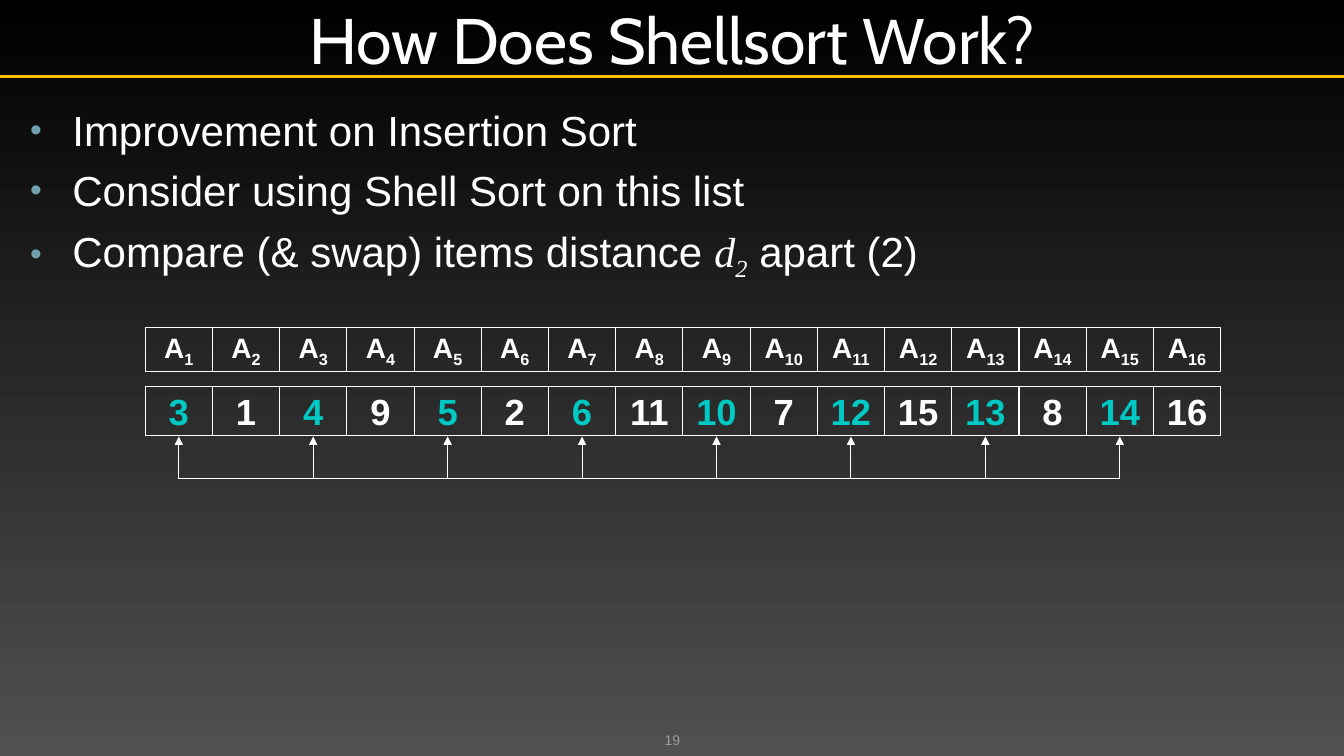
from pptx import Presentation
from pptx.dml.color import RGBColor
from pptx.enum import shapes, text
from pptx.oxml import ns
from pptx.util import Inches, Pt
from lxml import etree

BLACK = RGBColor(0x00, 0x00, 0x00)
GREY = RGBColor(0x50, 0x50, 0x50)
WHITE = RGBColor(0xFF, 0xFF, 0xFF)
GOLD = RGBColor(0xFF, 0xC0, 0x00)
TEAL = RGBColor(0x00, 0xC8, 0xC3)
BULLET = RGBColor(0x6E, 0xA0, 0xB0)
FOOTER = RGBColor(0x9D, 0x9B, 0x9A)

VALUES = [3, 1, 4, 9, 5, 2, 6, 11, 10, 7, 12, 15, 13, 8, 14, 16]
DISTANCE = 2
LEFT, CELL = 1.44, 2 / 3
ARROW_TOP, ARROW_BASE = 4.33, 4.75


def add_run(paragraph, words, size, color=WHITE, face="Arial", bold=False,
            italic=False, subscript=False):
    run = paragraph.add_run()
    run.text = words
    run.font.size = Pt(size)
    run.font.name = face
    run.font.color.rgb = color
    run.font.bold = bold
    run.font.italic = italic
    if subscript:
        run.font._element.set("baseline", "-25000")


def add_line(parent, x1, y1, x2, y2, color=WHITE, width=0.75, arrow=False):
    line = parent.add_connector(shapes.MSO_CONNECTOR.STRAIGHT,
                                Inches(x1), Inches(y1), Inches(x2), Inches(y2))
    line.line.color.rgb = color
    line.line.width = Pt(width)
    if arrow:
        etree.SubElement(line.line._get_or_add_ln(), ns.qn("a:tailEnd"), type="triangle")
    etree.SubElement(line._element.spPr, ns.qn("a:effectLst"))


prs = Presentation()
prs.slide_width, prs.slide_height = Inches(13.33), Inches(7.5)
slide = prs.slides.add_slide(prs.slide_layouts[5])

# Background gradient, dark at the top
backdrop = slide.background.fill
backdrop.gradient()
backdrop.gradient_angle = 270
for stop, color in zip(backdrop.gradient_stops, (BLACK, GREY)):
    stop.color.rgb = color

# Title and the rule under it
add_line(slide.shapes, 0, 0.76, 13.33, 0.76, GOLD, 2.5)
title = slide.shapes.title
title.left, title.top, title.width, title.height = 0, 0, Inches(13.33), Inches(0.76)
heading = title.text_frame
heading.auto_size = text.MSO_AUTO_SIZE.NONE
heading.vertical_anchor = text.MSO_ANCHOR.MIDDLE
heading.margin_left = heading.margin_right = Inches(0.05)
heading.margin_top = heading.margin_bottom = Inches(0.05)
heading.paragraphs[0].alignment = text.PP_ALIGN.CENTER
add_run(heading.paragraphs[0], "How Does Shellsort Work?", 46, face="Cabin")

# Bullet points
math_style = dict(face="Times New Roman", italic=True)
points = [
    [("Improvement on Insertion Sort", {})],
    [("Consider using Shell Sort on this list", {})],
    [("Compare (& swap) items distance ", {}), ("d", math_style),
     ("2", dict(math_style, subscript=True)), (" apart (2)", {})],
]
body = slide.shapes.add_textbox(Inches(0.16), Inches(0.99),
                                Inches(13.01), Inches(6.13)).text_frame
body.word_wrap = True
for i, point in enumerate(points):
    paragraph = body.add_paragraph() if i else body.paragraphs[0]
    paragraph.space_before = Pt(7)
    props = paragraph._p.get_or_add_pPr()
    props.set("marL", str(Inches(0.46)))
    props.set("indent", str(Inches(-0.42)))
    bullet_color = etree.SubElement(props, ns.qn("a:buClr"))
    etree.SubElement(bullet_color, ns.qn("a:srgbClr"), val=str(BULLET))
    etree.SubElement(props, ns.qn("a:buSzPct"), val="80000")
    etree.SubElement(props, ns.qn("a:buFont"), typeface="Arial")
    etree.SubElement(props, ns.qn("a:buChar"), char="•")
    for words, style in point:
        add_run(paragraph, words, 30, **style)

# Slide number
footer = slide.shapes.add_textbox(Inches(4.56), Inches(7.02),
                                  Inches(4.22), Inches(0.4)).text_frame
footer.word_wrap = True
footer.vertical_anchor = text.MSO_ANCHOR.BOTTOM
footer.margin_left = footer.margin_right = footer.margin_top = footer.margin_bottom = 0
footer.paragraphs[0].alignment = text.PP_ALIGN.CENTER
add_run(footer.paragraphs[0], "19", 10, FOOTER)

# Array: a row of labels above a row of values
labels = [[("A", 20, WHITE, False), (str(n + 1), 20, WHITE, True)]
          for n in range(len(VALUES))]
numbers = [[(str(value), 26, WHITE if n % DISTANCE else TEAL, False)]
           for n, value in enumerate(VALUES)]
for top, height, margin, row in ((3.25, 0.44, 0.05, labels), (3.83, 0.49, 0.02, numbers)):
    for n, runs in enumerate(row):
        cell = slide.shapes.add_shape(shapes.MSO_SHAPE.RECTANGLE, Inches(LEFT + n * CELL),
                                      Inches(top), Inches(CELL), Inches(height))
        cell.shadow.inherit = False
        cell.fill.background()
        cell.line.color.rgb = WHITE
        cell.line.width = Pt(0.75)
        frame = cell.text_frame
        frame.word_wrap = True
        frame.vertical_anchor = text.MSO_ANCHOR.MIDDLE
        frame.margin_left = frame.margin_right = 0
        frame.margin_top = frame.margin_bottom = Inches(margin)
        frame.paragraphs[0].alignment = text.PP_ALIGN.CENTER
        for words, size, color, subscript in runs:
            add_run(frame.paragraphs[0], words, size, color, bold=True, subscript=subscript)

# Arrows joining the items that are compared
comparison = slide.shapes.add_group_shape().shapes
centers = [LEFT + (n + 0.5) * CELL for n in range(0, len(VALUES), DISTANCE)]
add_line(comparison, centers[0], ARROW_BASE, centers[-1], ARROW_BASE)
for x in centers:
    add_line(comparison, x, ARROW_BASE, x, ARROW_TOP, arrow=True)

prs.save("out.pptx")
